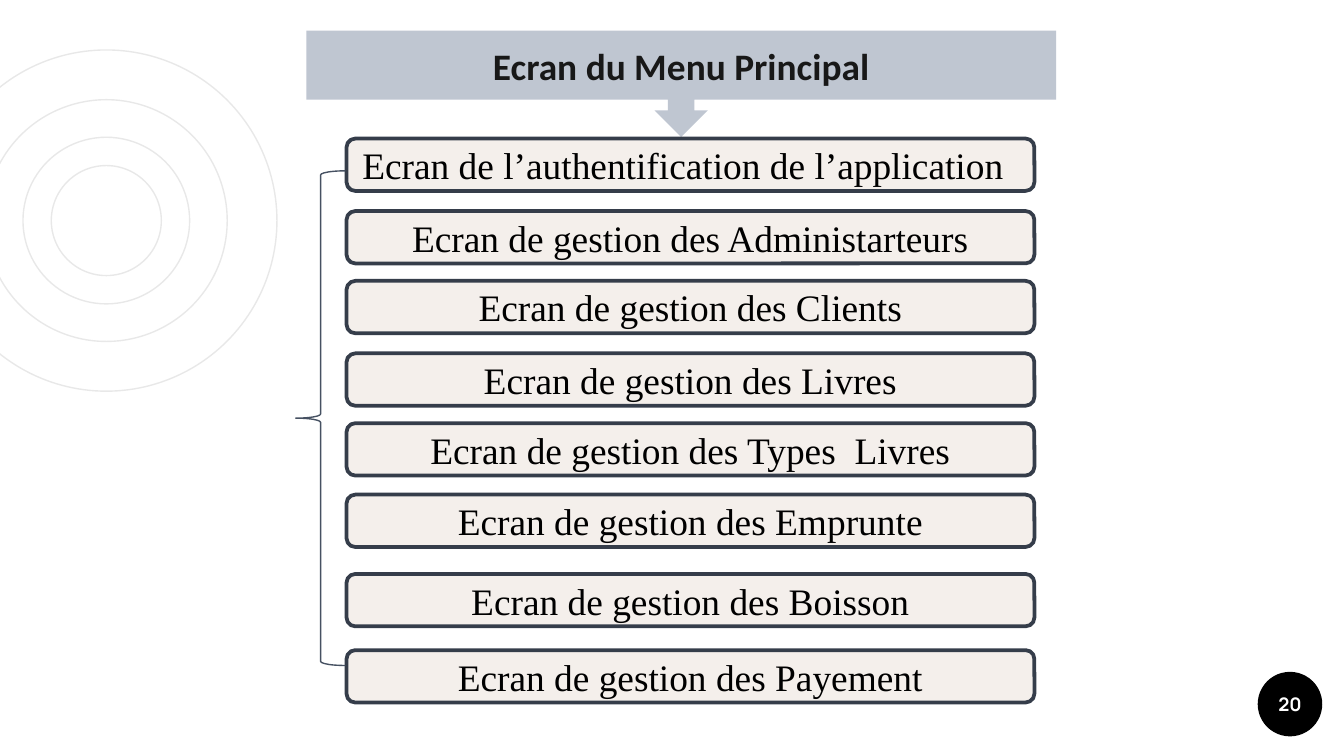
from pptx import Presentation
from pptx.dml.color import RGBColor
from pptx.enum.shapes import MSO_SHAPE
from pptx.enum.text import MSO_ANCHOR, PP_ALIGN
from pptx.util import Cm, Pt

SCREENS = [
    (2.62, "Ecran de l’authentification de l’application", PP_ALIGN.LEFT),
    (3.99, "Ecran de gestion des Administarteurs", PP_ALIGN.CENTER),
    (5.31, "Ecran de gestion des Clients", PP_ALIGN.CENTER),
    (6.68, "Ecran de gestion des Livres", PP_ALIGN.CENTER),
    (8.0, "Ecran de gestion des Types  Livres", PP_ALIGN.CENTER),
    (9.35, "Ecran de gestion des Emprunte", PP_ALIGN.CENTER),
    (10.85, "Ecran de gestion des Boisson", PP_ALIGN.CENTER),
    (12.29, "Ecran de gestion des Payement", PP_ALIGN.CENTER),
]
RING_DIAMETERS = [6.45, 4.57, 3.15, 2.08]


def color(value):
    return RGBColor.from_string(value)


def write(box, text, *, font, size, ink, bold=False, align=PP_ALIGN.CENTER):
    frame = box.text_frame
    frame.word_wrap = True
    frame.vertical_anchor = MSO_ANCHOR.MIDDLE
    para = frame.paragraphs[0]
    para.alignment = align
    span = para.add_run()
    span.text = text
    span.font.name = font
    span.font.size = Pt(size)
    span.font.bold = bold
    span.font.color.rgb = color(ink)


class MenuPage:
    ring_line = "E8E8E8"
    header_fill = "BFC6D1"
    screen_fill = "F4EFEB"
    screen_line = "353D4A"
    brace_line = "465162"

    def __init__(self, deck):
        self.page = deck.slides.add_slide(deck.slide_layouts[6])

    def shape(self, kind, left, top, width, height, fill=None, line=None, weight=0.75):
        box = self.page.shapes.add_shape(kind, Cm(left), Cm(top), Cm(width), Cm(height))
        box.shadow.inherit = False
        if fill:
            box.fill.solid()
            box.fill.fore_color.rgb = color(fill)
        else:
            box.fill.background()
        if line:
            box.line.color.rgb = color(line)
            box.line.width = Pt(weight)
        else:
            box.line.fill.background()
        return box

    def ring(self, center_x, center_y, diameter):
        radius = diameter / 2
        self.shape(MSO_SHAPE.OVAL, center_x - radius, center_y - radius,
                   diameter, diameter, line=self.ring_line)

    def badge(self, number):
        box = self.shape(MSO_SHAPE.OVAL, 23.77, 12.7, 1.22, 1.22, fill="000000")
        frame = box.text_frame
        frame.margin_left = frame.margin_right = 0
        write(box, number, font="Manrope", size=10, ink="FFFFFF", bold=True)

    def header(self, text):
        box = self.shape(MSO_SHAPE.DOWN_ARROW_CALLOUT, 5.79, 0.58, 14.17, 2.01,
                         fill=self.header_fill)
        frame = box.text_frame
        frame.margin_top = frame.margin_bottom = Cm(0.25)
        write(box, text, font="Calibri", size=20, ink="181818", bold=True)

    def screen(self, top, text, align):
        box = self.shape(MSO_SHAPE.ROUNDED_RECTANGLE, 6.55, top, 13, 0.99,
                         fill=self.screen_fill, line=self.screen_line, weight=2)
        write(box, text, font="Times New Roman", size=20, ink="000000", align=align)

    def brace(self):
        self.shape(MSO_SHAPE.LEFT_BRACE, 5.59, 3.23, 0.94, 9.35, line=self.brace_line)


def main():
    deck = Presentation()
    deck.slide_width = Cm(25.4)
    deck.slide_height = Cm(14.29)
    menu = MenuPage(deck)
    for diameter in RING_DIAMETERS:
        menu.ring(2.01, 4.17, diameter)
    menu.badge("20")
    menu.header("Ecran du Menu Principal")
    for top, text, align in SCREENS:
        menu.screen(top, text, align)
    menu.brace()
    deck.save("out.pptx")


if __name__ == "__main__":
    main()
